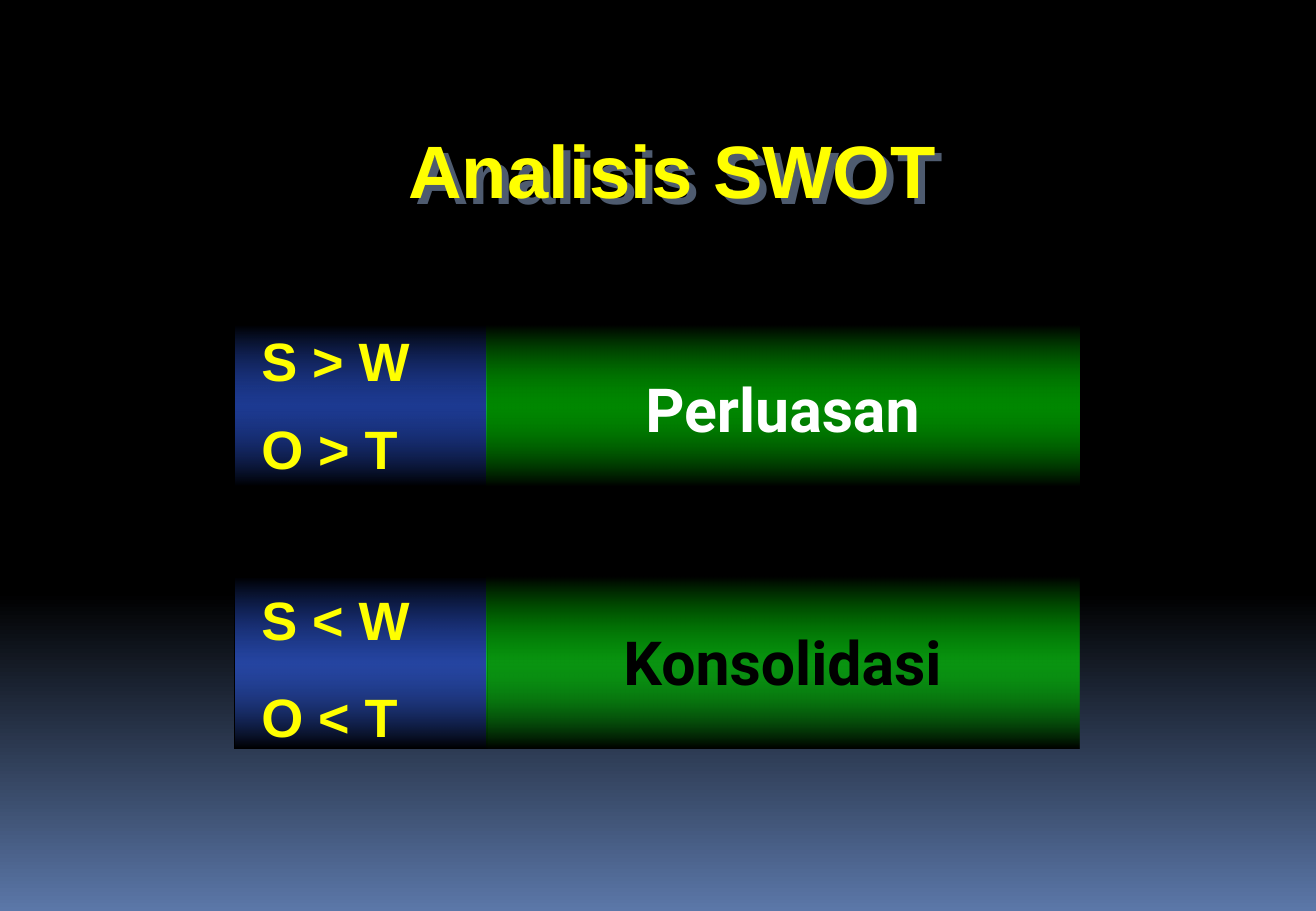
from dataclasses import dataclass

from lxml import etree
from pptx import Presentation
from pptx.dml.color import RGBColor
from pptx.enum.shapes import MSO_SHAPE
from pptx.enum.text import MSO_ANCHOR, PP_ALIGN
from pptx.oxml.ns import qn
from pptx.util import Inches, Pt

RECTANGLE = MSO_SHAPE.RECTANGLE
ROUNDED = MSO_SHAPE.ROUNDED_RECTANGLE
TOP, BOTTOM = MSO_ANCHOR.TOP, MSO_ANCHOR.BOTTOM
LEFT, CENTER = PP_ALIGN.LEFT, PP_ALIGN.CENTER

COLORS = {
    "black": "000000",
    "sky": "5B77A8",
    "blue": "3366FF",
    "green": "00FF00",
    "yellow": "FFFF00",
    "white": "FFFFFF",
    "shadow": "4E5B6F",
}

CONDITION_LEFT, CONDITION_WIDTH = 1.93, 2.08
STRATEGY_LEFT, STRATEGY_WIDTH = 4.0, 4.88
STRATEGY_INSET = 0.39


@dataclass
class Stop:
    position: int
    color: str
    opacity: int = 100


@dataclass
class TextStyle:
    font: str
    size: int
    color: str
    alignment: PP_ALIGN
    anchor: MSO_ANCHOR = TOP
    left_inset: float = 0.1
    top_inset: float = 0.05
    space_before: float = 0


@dataclass
class SwotRow:
    top: float
    height: float
    conditions: list[str]
    condition_inset: float
    condition_gap: float
    strategy: str
    strategy_color: str


ROWS = [
    SwotRow(2.67, 1.34, ["S > W", "O > T"], 0.03, 13.6, "Perluasan", "white"),
    SwotRow(4.75, 1.41, ["S < W", "O < T"], 0.08, 19, "Konsolidasi", "black"),
]


def apply_gradient(fill, element, stops: list[Stop]) -> None:
    """Give the fill a top-to-bottom gradient; element is the XML holding it."""
    fill.gradient()
    fill.gradient_angle = 270
    stop_list = element.find(".//" + qn("a:gsLst"))
    for old_stop in list(stop_list):
        stop_list.remove(old_stop)
    for stop in stops:
        node = etree.SubElement(stop_list, qn("a:gs"), pos=str(stop.position * 1000))
        color = etree.SubElement(node, qn("a:srgbClr"), val=COLORS[stop.color])
        if stop.opacity < 100:
            etree.SubElement(color, qn("a:alpha"), val=str(stop.opacity * 1000))


def write_text(shape, lines: list[str], style: TextStyle) -> None:
    frame = shape.text_frame
    frame.word_wrap = True
    frame.vertical_anchor = style.anchor
    frame.margin_left = Inches(style.left_inset)
    frame.margin_top = Inches(style.top_inset)
    for index, line in enumerate(lines):
        paragraph = frame.add_paragraph() if index else frame.paragraphs[0]
        paragraph.alignment = style.alignment
        if index:
            paragraph.space_before = Pt(style.space_before)
        run = paragraph.add_run()
        run.text = line
        run.font.name = style.font
        run.font.size = Pt(style.size)
        run.font.bold = True
        run.font.color.rgb = RGBColor.from_string(COLORS[style.color])


def add_band(slide, left: float, top: float, width: float, height: float, middle: Stop):
    """Add a rectangle that glows in the middle and fades to black."""
    shape = slide.shapes.add_shape(
        RECTANGLE, Inches(left), Inches(top), Inches(width), Inches(height)
    )
    shape.shadow.inherit = False
    shape.line.fill.background()
    stops = [Stop(0, "black"), middle, Stop(100, "black")]
    apply_gradient(shape.fill, shape.element, stops)
    return shape


def add_row(slide, row: SwotRow) -> None:
    condition = add_band(slide, CONDITION_LEFT, row.top, CONDITION_WIDTH, row.height,
                         Stop(50, "blue", 57))
    condition.line.color.rgb = RGBColor.from_string(COLORS["black"])
    condition.line.width = Pt(0.75)
    write_text(condition, row.conditions,
               TextStyle("Arial", 32, "yellow", LEFT, left_inset=0.22,
                         top_inset=row.condition_inset, space_before=row.condition_gap))
    strategy = add_band(slide, STRATEGY_LEFT, row.top, STRATEGY_WIDTH, row.height,
                        Stop(50, "green", 53))
    write_text(strategy, [row.strategy],
               TextStyle("Roboto", 36, row.strategy_color, CENTER,
                         top_inset=STRATEGY_INSET))


def add_title(slide) -> None:
    """Add the unfilled title shape, whose shadow falls from its text."""
    title = slide.shapes.add_shape(
        ROUNDED, Inches(0.84), Inches(0.94), Inches(9.39), Inches(0.92)
    )
    title.adjustments[0] = 0.217
    title.fill.background()
    title.line.fill.background()
    title.shadow.inherit = False
    effects = title.element.spPr.find(qn("a:effectLst"))
    shadow = etree.SubElement(effects, qn("a:outerShdw"), dist=str(Inches(0.08)),
                              dir="2700000", algn="ctr", rotWithShape="0")
    etree.SubElement(shadow, qn("a:srgbClr"), val=COLORS["shadow"])
    write_text(title, ["Analisis SWOT"],
               TextStyle("Arial", 44, "yellow", CENTER, BOTTOM))


def main() -> None:
    presentation = Presentation()
    presentation.slide_width = Inches(10.83)
    presentation.slide_height = Inches(7.5)
    slide = presentation.slides.add_slide(presentation.slide_layouts[6])
    apply_gradient(slide.background.fill, slide.element,
                   [Stop(0, "black"), Stop(65, "black"), Stop(100, "sky")])
    for row in ROWS:
        add_row(slide, row)
    add_title(slide)
    presentation.save("out.pptx")


if __name__ == "__main__":
    main()
